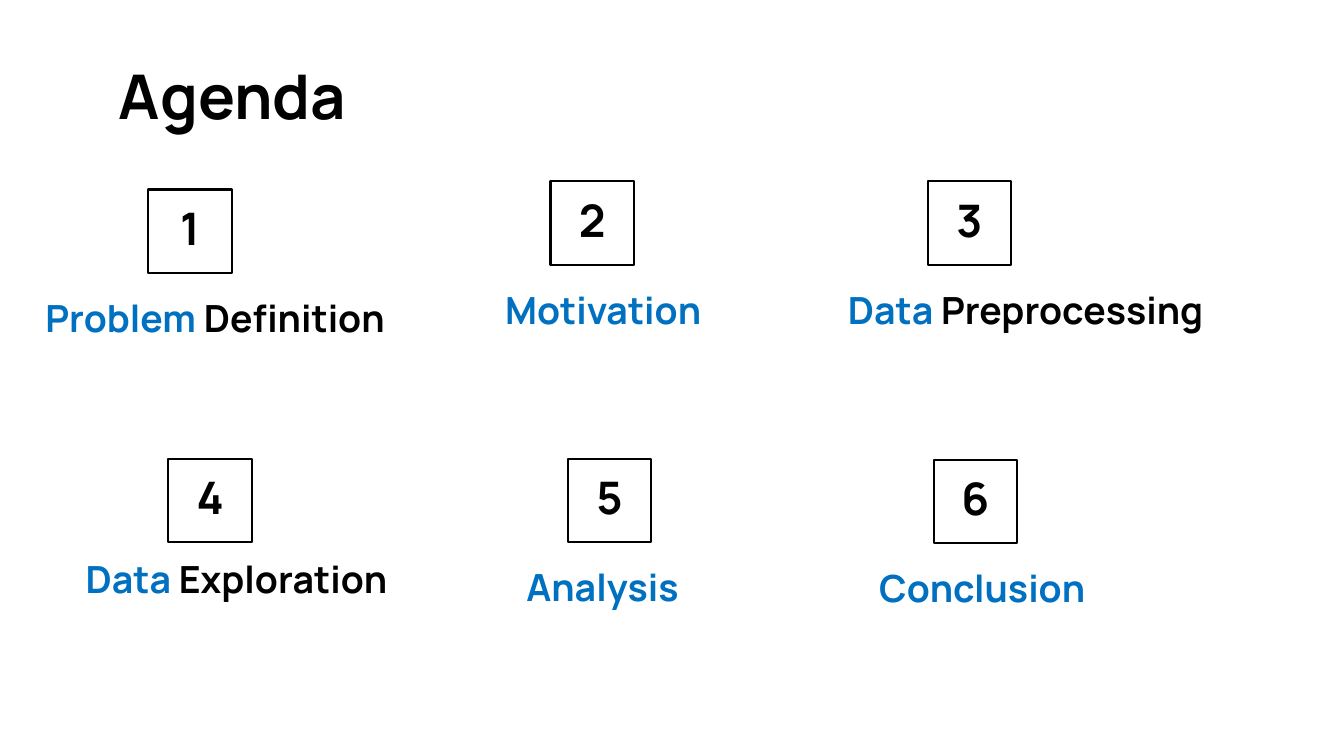
from pptx import Presentation
from pptx import util as u
from pptx.dml.color import RGBColor
from pptx.enum import shapes, text

FONT = "Manrope"
BLACK, BLUE = "000000", "0070C0"
SQUARE, LABEL_HEIGHT = 0.83, 0.77

# Number, square (left, top), label (left, top, width), blue word, black word
TOPICS = [
    ("1", (1.47, 1.88), (0.32, 2.79, 3.85), "Problem", "Definition"),
    ("2", (5.46, 1.8), (4.88, 2.71, 3.85), "Motivation", ""),
    ("3", (9.2, 1.8), (8.28, 2.71, 4.4), "Data", "Preprocessing"),
    ("4", (1.67, 4.55), (0.72, 5.38, 4.21), "Data", "Exploration"),
    ("5", (5.63, 4.55), (5.09, 5.46, 4.4), "Analysis", ""),
    ("6", (9.26, 4.56), (8.59, 5.47, 4.21), "Conclusion", ""),
]


def color(value):
    return RGBColor.from_string(value)


def write(box, spans, size, align=text.PP_ALIGN.LEFT):
    """Fill a box with one bold line made of (words, colour) spans."""
    frame = box.text_frame
    frame.word_wrap = True
    frame.vertical_anchor = text.MSO_ANCHOR.MIDDLE
    frame.margin_left = frame.margin_right = u.Inches(0.13)
    frame.margin_top = frame.margin_bottom = u.Inches(0.13)
    para = frame.paragraphs[0]
    para.alignment = align
    para.line_spacing = 0.9
    for words, ink in spans:
        span = para.add_run()
        span.text = words
        span.font.name = FONT
        span.font.size = u.Pt(size)
        span.font.bold = True
        span.font.color.rgb = color(ink)


def add_label(page, place, spans, size):
    box = page.shapes.add_textbox(*map(u.Inches, place))
    write(box, spans, size)


def add_number(page, left, top, number):
    box = page.shapes.add_shape(
        shapes.MSO_SHAPE.RECTANGLE, *map(u.Inches, (left, top, SQUARE, SQUARE)))
    box.shadow.inherit = False
    box.fill.background()
    box.line.color.rgb = color(BLACK)
    box.line.width = u.Pt(1.5)
    write(box, [(number, BLACK)], 32, text.PP_ALIGN.CENTER)


def main():
    deck = Presentation()
    deck.slide_width, deck.slide_height = u.Inches(13.33), u.Inches(7.5)
    page = deck.slides.add_slide(deck.slide_layouts[6])

    # Title
    add_label(page, (1.05, 0.57, 9.25, 0.84), [("Agenda", BLACK)], 44)

    # Numbered topics
    for number, corner, (left, top, width), lead, rest in TOPICS:
        add_number(page, *corner, number)
        spans = [(lead + " ", BLUE), (rest, BLACK)] if rest else [(lead, BLUE)]
        add_label(page, (left, top, width, LABEL_HEIGHT), spans, 26.7)

    deck.save("out.pptx")


if __name__ == "__main__":
    main()
